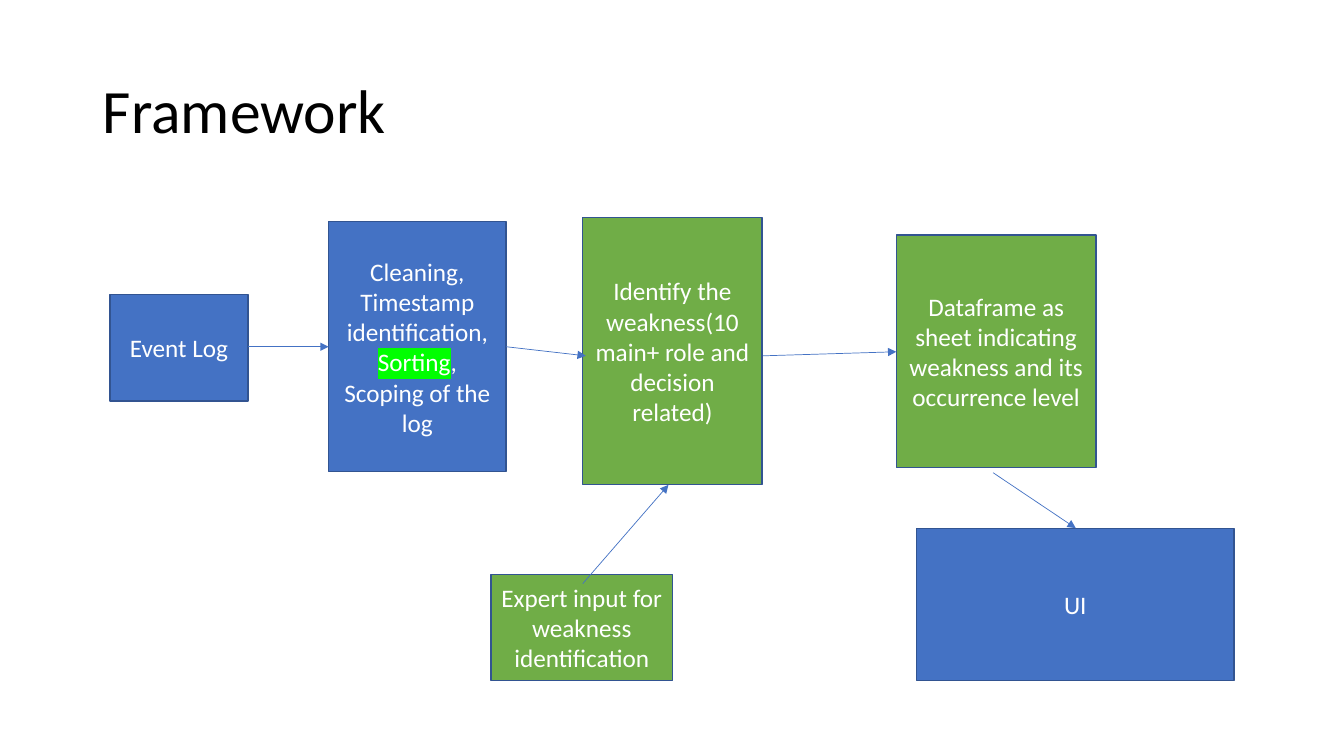
from dataclasses import dataclass

from lxml.etree import SubElement
from pptx import Presentation
from pptx.dml.color import RGBColor as RGB
from pptx.enum.shapes import MSO_CONNECTOR as CONN, MSO_SHAPE as SHAPE
from pptx.enum.text import MSO_ANCHOR as ANCHOR, PP_ALIGN as ALIGN
from pptx.oxml.ns import qn
from pptx.util import Inches, Pt


@dataclass(frozen=True)
class Theme:
    font: str = "Calibri"
    title_size: int = 44
    body_size: int = 18
    title: str = "000000"
    text: str = "FFFFFF"
    blue: str = "4472C4"
    green: str = "70AD47"
    outline: str = "325491"
    highlight: str = "00FF00"
    outline_width: float = 1
    arrow_width: float = 0.5


class FlowSlide:
    def __init__(self, prs, theme):
        self.theme = theme
        self.s = prs.slides.add_slide(prs.slide_layouts[5])

    def style(self, p, size, color, align):
        p.alignment = align
        p.font.name = self.theme.font
        p.font.size = Pt(size)
        p.font.color.rgb = RGB.from_string(color)

    def title(self, text, left, top, width, height):
        sp = self.s.shapes.title
        sp.left, sp.top = Inches(left), Inches(top)
        sp.width, sp.height = Inches(width), Inches(height)
        tf = sp.text_frame
        tf.text = text
        tf.vertical_anchor = ANCHOR.MIDDLE
        p = tf.paragraphs[0]
        p.line_spacing = 0.9
        self.style(p, self.theme.title_size, self.theme.title, ALIGN.LEFT)

    def box(self, text, fill, left, top, width, height, marked=""):
        """Add a filled step; the word in marked gets a highlight."""
        sp = self.s.shapes.add_shape(
            SHAPE.RECTANGLE, Inches(left), Inches(top), Inches(width), Inches(height))
        sp.shadow.inherit = False
        sp.fill.solid()
        sp.fill.fore_color.rgb = RGB.from_string(fill)
        sp.line.color.rgb = RGB.from_string(self.theme.outline)
        sp.line.width = Pt(self.theme.outline_width)
        tf = sp.text_frame
        tf.word_wrap = True
        tf.vertical_anchor = ANCHOR.MIDDLE
        p = tf.paragraphs[0]
        self.style(p, self.theme.body_size, self.theme.text, ALIGN.CENTER)
        for part in text.partition(marked) if marked else [text]:
            r = p.add_run()
            r.text = part
            if part == marked:
                mark = SubElement(r.font._element, qn("a:highlight"))
                SubElement(mark, qn("a:srgbClr"), val=self.theme.highlight)

    def arrow(self, start, end):
        c = self.s.shapes.add_connector(
            CONN.STRAIGHT, *(Inches(v) for v in (*start, *end)))
        c.line.color.rgb = RGB.from_string(self.theme.blue)
        c.line.width = Pt(self.theme.arrow_width)
        SubElement(c.line._get_or_add_ln(), qn("a:tailEnd"), type="triangle")
        SubElement(c._element.spPr, qn("a:effectLst"))


def main():
    prs = Presentation()
    prs.slide_width, prs.slide_height = Inches(13.33), Inches(7.5)
    theme = Theme()
    slide = FlowSlide(prs, theme)
    slide.title("Framework", 0.92, 0.4, 11.5, 1.45)

    slide.box("Event Log", theme.blue, 1.09, 2.92, 1.37, 1.06)
    slide.box("Cleaning, Timestamp identification, Sorting, Scoping of the log",
              theme.blue, 3.26, 2.2, 1.76, 2.48, marked="Sorting")
    slide.box("Identify the weakness(10 main+ role and decision related)",
              theme.green, 5.78, 2.16, 1.78, 2.65)
    slide.box("Expert input for weakness identification",
              theme.green, 4.87, 5.7, 1.8, 1.05)
    slide.box("Dataframe as sheet indicating weakness and its occurrence level",
              theme.green, 8.89, 2.33, 1.98, 2.31)
    slide.box("UI", theme.blue, 9.09, 5.24, 3.15, 1.51)

    for start, end in (
        ((2.46, 3.44), (3.26, 3.44)),
        ((5.02, 3.44), (5.81, 3.53)),
        ((5.78, 5.79), (6.63, 4.81)),
        ((7.57, 3.53), (8.89, 3.49)),
        ((9.85, 4.69), (10.67, 5.24)),
    ):
        slide.arrow(start, end)

    prs.save("out.pptx")


if __name__ == "__main__":
    main()
